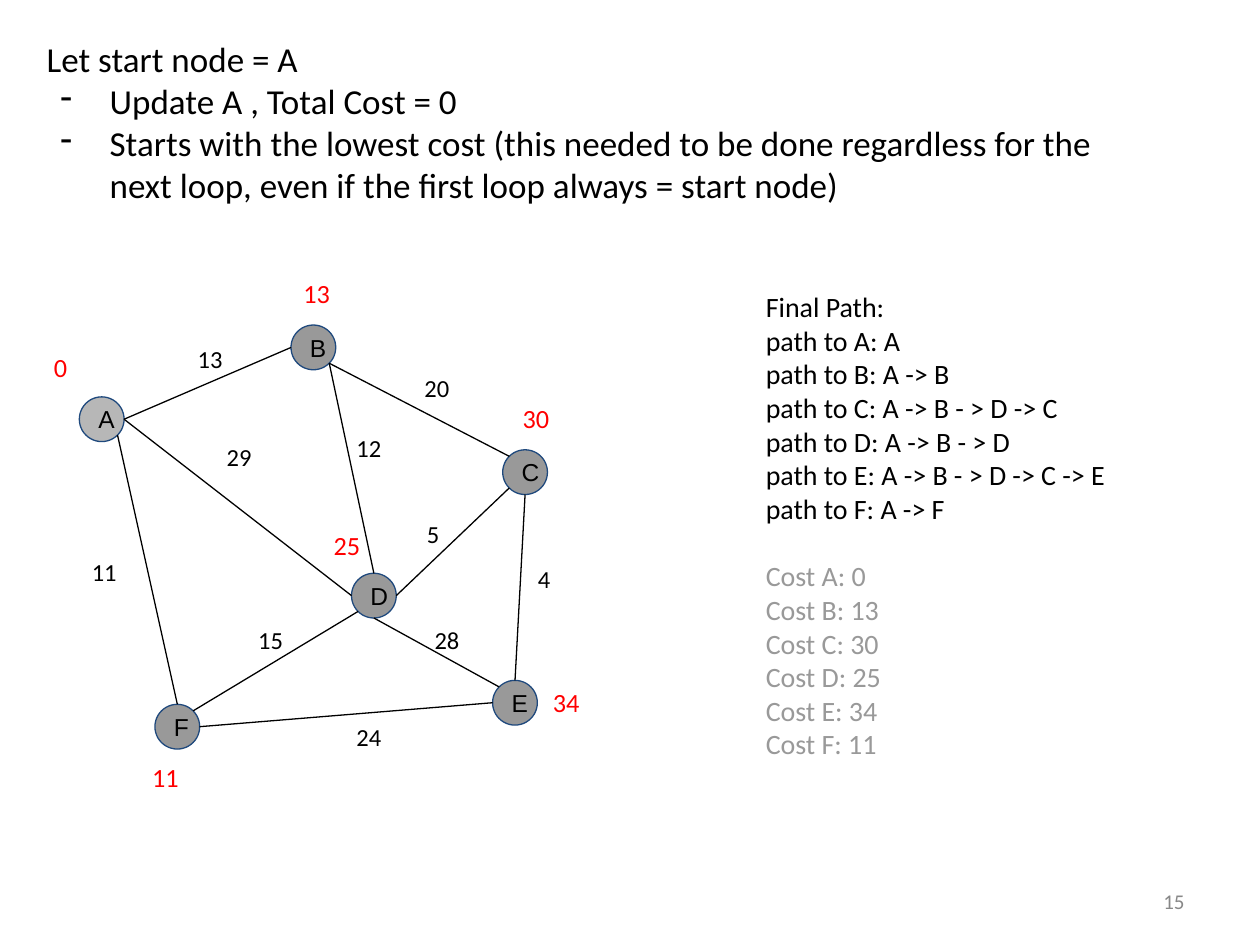
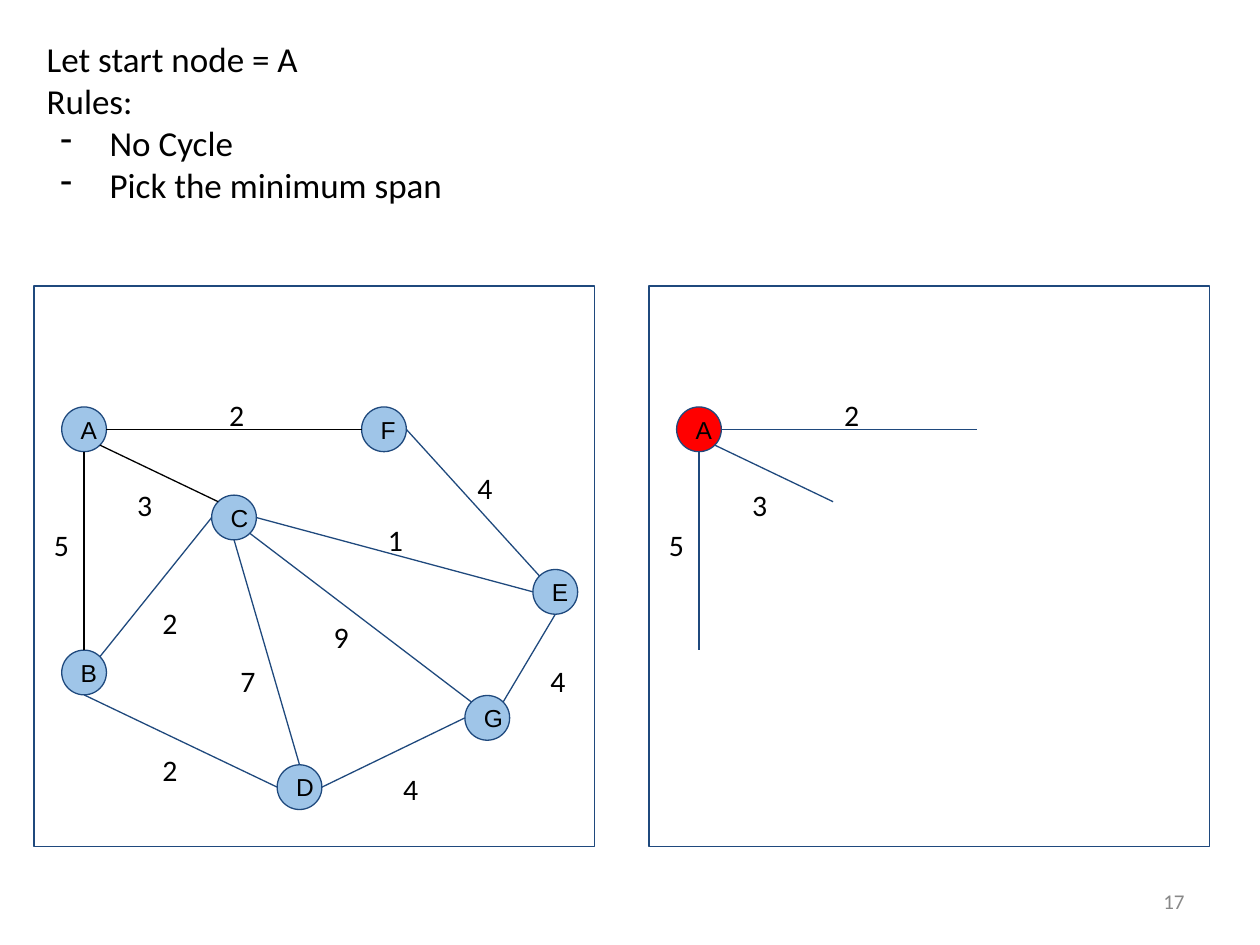
"""Build two slides on shortest paths and spanning trees in weighted graphs."""
from lxml import etree
from pptx import Presentation
from pptx.dml.color import RGBColor
from pptx.enum.shapes import MSO_CONNECTOR, MSO_SHAPE
from pptx.enum.text import MSO_ANCHOR, MSO_AUTO_SIZE, PP_ALIGN
from pptx.oxml.ns import qn
from pptx.util import Inches, Pt

LEFT, MID, RIGHT = PP_ALIGN.LEFT, PP_ALIGN.CENTER, PP_ALIGN.RIGHT
TOP, MIDDLE = MSO_ANCHOR.TOP, MSO_ANCHOR.MIDDLE
FIXED = MSO_AUTO_SIZE.NONE
OVAL, RECT = MSO_SHAPE.OVAL, MSO_SHAPE.RECTANGLE
STRAIGHT = MSO_CONNECTOR.STRAIGHT

BLACK, NAVY, RED = "000000", "1F497D", "FF0000"
GREY, PALE, SKY, DIM = "999999", "B7B7B7", "9FC5E8", "888888"
SIZE = 0.355
DIAG = SIZE / 2 * 0.7071
SIDES = {
    "n": (0, -SIZE / 2), "s": (0, SIZE / 2),
    "w": (-SIZE / 2, 0), "e": (SIZE / 2, 0),
    "nw": (-DIAG, -DIAG), "ne": (DIAG, -DIAG),
    "sw": (-DIAG, DIAG), "se": (DIAG, DIAG),
}
HEAD = (0.27, 0.2, 8.77, 1.58)
FOOT = (7.17, 6.95, 2.33, 0.4)

PATH_HEAD = [
    "Let start node = A",
    "- Update A , Total Cost = 0",
    "- Starts with the lowest cost (this needed to be done regardless for the "
    "next loop, even if the first loop always = start node)",
]
PATHS = [
    "Final Path:", "path to A: A", "path to B: A -> B",
    "path to C: A -> B - > D -> C", "path to D: A -> B - > D",
    "path to E: A -> B - > D -> C -> E", "path to F: A -> F",
]
COSTS = {  # node: cost, label left, label top
    "A": (0, 0.33, 2.69), "B": (13, 2.31, 2.1), "C": (30, 4.05, 3.09),
    "D": (25, 2.55, 4.1), "E": (34, 4.29, 5.35), "F": (11, 1.11, 5.94),
}
PATH_NODES = {
    "A": (0.63, 3.15), "B": (2.31, 2.58), "C": (3.99, 3.57),
    "F": (1.23, 5.59), "D": (2.79, 4.55), "E": (3.91, 5.4),
}
PATH_EDGES = [
    ("A", "e", "B", "w", "13", 1.47, 2.63),
    ("A", "e", "D", "w", "29", 1.7, 3.41),
    ("A", "se", "F", "n", "11", 0.63, 4.32),
    ("B", "se", "C", "nw", "20", 3.27, 2.86),
    ("B", "se", "D", "n", "12", 2.73, 3.34),
    ("C", "sw", "D", "e", "5", 3.29, 4.02),
    ("C", "s", "E", "n", "4", 4.17, 4.38),
    ("D", "s", "E", "nw", "28", 3.35, 4.86),
    ("E", "w", "F", "e", "24", 2.73, 5.63),
    ("D", "sw", "F", "ne", "15", 1.95, 4.86),
]

TREE_HEAD = [
    "Let start node = A", "Rules:", "- No Cycle", "- Pick the minimum span",
]
TREE_NODES = {
    "A": (0.49, 3.23), "B": (0.49, 5.16), "C": (1.68, 3.93), "D": (2.2, 6.07),
    "E": (4.23, 4.52), "F": (2.87, 3.23), "G": (3.69, 5.52),
}
START_EDGES = [
    ("A", "s", "B", "n", "5", 0.33, 4.08),
    ("A", "se", "C", "nw", "3", 0.99, 3.76),
    ("A", "e", "F", "w", "2", 1.72, 3.05),
]
REST_EDGES = [
    ("B", "s", "D", "w", "2", 1.19, 5.87),
    ("C", "s", "D", "n", "7", 1.81, 5.16),
    ("D", "e", "G", "w", "4", 3.1, 6.02),
    ("G", "ne", "E", "s", "4", 4.27, 5.16),
    ("F", "e", "E", "nw", "4", 3.69, 3.63),
    ("C", "w", "B", "ne", "2", 1.19, 4.7),
    ("C", "e", "E", "w", "1", 2.98, 4.04),
    ("C", "se", "G", "nw", "9", 2.55, 4.81),
]
FRAME = (0.27, 2.27, 4.45, 4.45)
SHIFT = 4.88


def color(code):
    return RGBColor.from_string(code)


def dash(para):
    props = para._p.get_or_add_pPr()
    props.set("marL", str(Inches(0.5)))
    props.set("indent", str(Inches(-0.39)))
    hue = etree.SubElement(props, qn("a:buClr"))
    etree.SubElement(hue, qn("a:srgbClr"), val=BLACK)
    etree.SubElement(props, qn("a:buChar"), char="-")


def write(shape, lines, size, hue=BLACK, font="Calibri", align=LEFT,
          anchor=TOP, pad=0.1):
    frame = shape.text_frame
    frame.text = "\n".join(line.removeprefix("- ") for line in lines)
    frame.word_wrap = True
    frame.auto_size = FIXED
    frame.vertical_anchor = anchor
    frame.margin_left = frame.margin_right = Inches(0.1)
    frame.margin_top = frame.margin_bottom = Inches(pad)
    for para, line in zip(frame.paragraphs, lines):
        para.alignment = align
        if line.startswith("- "):
            dash(para)
        for run in para.runs:
            run.font.size = Pt(size)
            run.font.name = font
            run.font.color.rgb = color(hue)
    return frame.paragraphs


def label(slide, box, lines, size, **style):
    shape = slide.shapes.add_textbox(*map(Inches, box))
    return write(shape, lines, size, **style)


def outline(slide, kind, box, fill=None):
    shape = slide.shapes.add_shape(kind, *map(Inches, box))
    shape.shadow.inherit = False
    if fill:
        shape.fill.solid()
        shape.fill.fore_color.rgb = color(fill)
    else:
        shape.fill.background()
    shape.line.color.rgb = color(NAVY)
    shape.line.width = Pt(0.75)
    return shape


def node(slide, name, spot, fill, align, shift=0):
    left, top = spot
    shape = outline(slide, OVAL, (left + shift, top, SIZE, SIZE), fill)
    write(shape, [name], 14, font="Arial", align=align, anchor=MIDDLE)


def port(spot, side):
    return [at + SIZE / 2 + move for at, move in zip(spot, SIDES[side])]


def join(slide, nodes, edges, hue, wide, size, shift=0):
    for tail, out, head, into, cost, left, top in edges:
        x1, y1 = port(nodes[tail], out)
        x2, y2 = port(nodes[head], into)
        ends = (x1 + shift, y1, x2 + shift, y2)
        link = slide.shapes.add_connector(STRAIGHT, *map(Inches, ends))
        link.line.color.rgb = color(hue)
        link.line.width = Pt(0.75)
        etree.SubElement(link._element.spPr, qn("a:effectLst"))
        label(slide, (left + shift, top, wide, 0.35), [cost], size)


def page(deck, head, number):
    slide = deck.slides.add_slide(deck.slide_layouts[5])
    title = slide.shapes.title
    title.left, title.top, title.width, title.height = map(Inches, HEAD)
    write(title, head, 20)
    label(slide, FOOT, [number], 12, hue=DIM, align=RIGHT, anchor=MIDDLE,
          pad=0.05)
    return slide


def path_page(deck):
    slide = page(deck, PATH_HEAD, "15")
    costs = [f"Cost {name}: {cost[0]}" for name, cost in COSTS.items()]
    paras = label(slide, (5.98, 2.2, 3.43, 4.33), PATHS + costs, 16)
    paras[len(PATHS)].space_before = Pt(19.5)
    for para in paras[len(PATHS):]:
        para.runs[0].font.color.rgb = color(GREY)
    for name, spot in PATH_NODES.items():
        node(slide, name, spot, PALE if name == "A" else GREY, LEFT)
    join(slide, PATH_NODES, PATH_EDGES, BLACK, 0.48, 14)
    for cost, left, top in COSTS.values():
        label(slide, (left, top, 0.66, 0.46), [str(cost)], 15, hue=RED)


def tree_page(deck):
    slide = page(deck, TREE_HEAD, "17")
    left, *rest = FRAME
    for shift in (SHIFT, 0):
        outline(slide, RECT, (left + shift, *rest))
    for name, spot in TREE_NODES.items():
        node(slide, name, spot, SKY, MID)
    join(slide, TREE_NODES, START_EDGES, BLACK, 0.28, 17)
    join(slide, TREE_NODES, REST_EDGES, NAVY, 0.28, 17)
    node(slide, "A", TREE_NODES["A"], RED, MID, SHIFT)
    join(slide, TREE_NODES, START_EDGES, NAVY, 0.28, 17, SHIFT)


def main():
    deck = Presentation()
    deck.slide_width, deck.slide_height = Inches(10), Inches(7.5)
    path_page(deck)
    tree_page(deck)
    deck.save("out.pptx")


if __name__ == "__main__":
    main()
